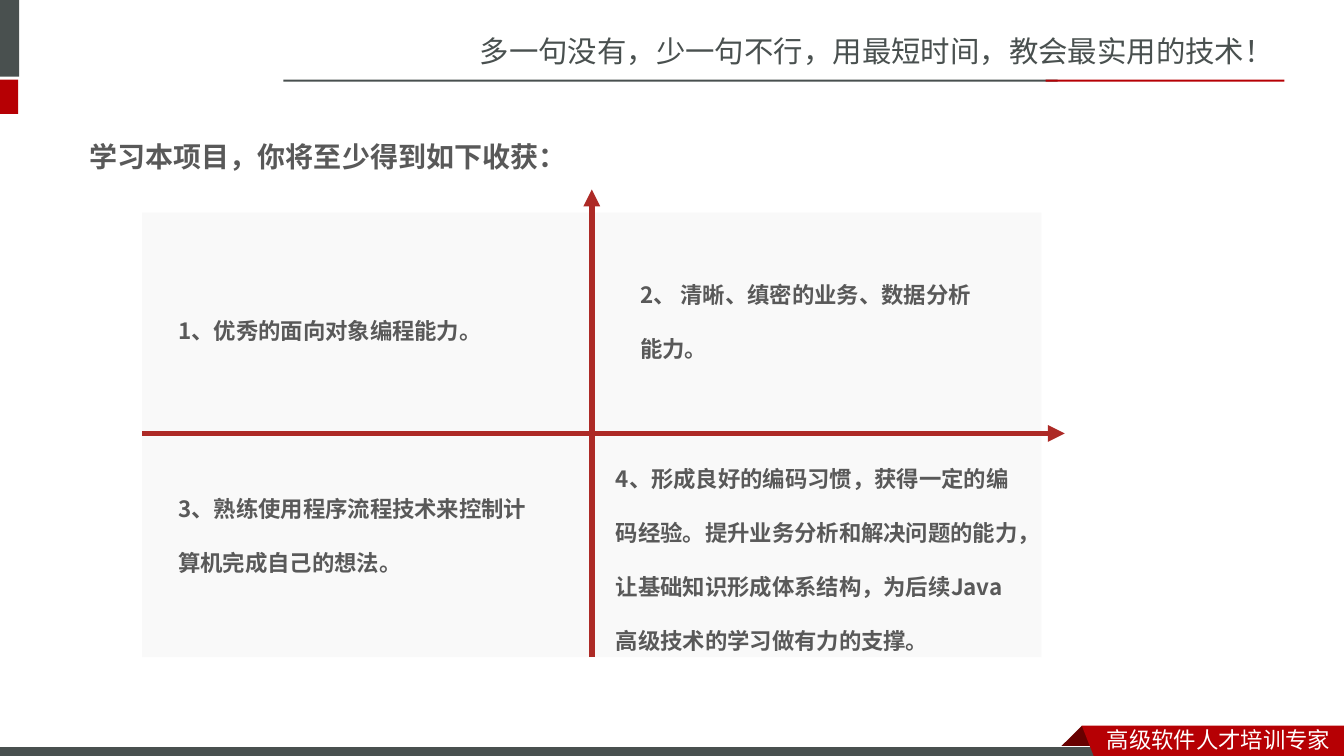
from lxml import etree
from pptx import Presentation
from pptx.dml.color import RGBColor
from pptx.enum import shapes, text
from pptx.oxml import ns
from pptx.util import Inches, Pt

SLATE = RGBColor(0x49, 0x50, 0x4F)
RED = RGBColor(0xB6, 0x00, 0x04)
DARK_RED = RGBColor(0x68, 0x00, 0x00)
AXIS_RED = RGBColor(0xAD, 0x2A, 0x26)
PANEL_GRAY = RGBColor(0xF9, 0xF9, 0xF9)
TEXT_GRAY = RGBColor(0x59, 0x59, 0x59)
WHITE = RGBColor(0xFF, 0xFF, 0xFF)

HEADER_FONT = "Noto Sans CJK SC"
TITLE_FONT = "Lato"
BODY_FONT = "Noto Sans CJK JP"

PANEL_LEFT, PANEL_TOP = 1.41, 2.11
PANEL_WIDTH, PANEL_HEIGHT = 4.46, 2.19
AXIS_X, AXIS_Y = 5.87, 4.3

BENEFITS = [
    (1.67, 2.83, 3.7, 0.57, "1、优秀的面向对象编程能力。"),
    (6.25, 2.47, 3.7, 1.11, "2、 清晰、缜密的业务、数据分析能力。"),
    (1.67, 4.6, 3.7, 1.11, "3、熟练使用程序流程技术来控制计算机完成自己的想法。"),
    (6.01, 4.3, 4.2, 2.18,
     "4、形成良好的编码习惯，获得一定的编码经验。提升业务分析和解决问题的能力，"
     "让基础知识形成体系结构，为后续Java高级技术的学习做有力的支撑。"),
]


def add_text(slide, content, left, top, width, height, *, font, size, color,
             bold=False, anchor=text.MSO_ANCHOR.MIDDLE, line_spacing=None):
    box = slide.shapes.add_textbox(Inches(left), Inches(top), Inches(width), Inches(height))
    frame = box.text_frame
    frame.word_wrap = True
    frame.vertical_anchor = anchor
    paragraph = frame.paragraphs[0]
    paragraph.line_spacing = line_spacing
    run = paragraph.add_run()
    run.text = content
    run.font.name = font
    run.font.size = Pt(size)
    run.font.bold = bold
    run.font.color.rgb = color
    east_asian = etree.SubElement(run.font._element, ns.qn("a:ea"))
    east_asian.set("typeface", HEADER_FONT if font == TITLE_FONT else font)


def paint(shape, fill, outline=None):
    shape.shadow.inherit = False
    shape.fill.solid()
    shape.fill.fore_color.rgb = fill
    if outline is None:
        shape.line.fill.background()
    else:
        shape.line.color.rgb = outline
        shape.line.width = Pt(0.75)


def add_rectangle(slide, left, top, width, height, fill, outline=None):
    shape = slide.shapes.add_shape(shapes.MSO_SHAPE.RECTANGLE, Inches(left), Inches(top),
                                   Inches(width), Inches(height))
    paint(shape, fill, outline)


def add_polygon(slide, points, fill):
    corners = [(Inches(x), Inches(y)) for x, y in points]
    builder = slide.shapes.build_freeform(*corners[0], scale=1.0)
    builder.add_line_segments(corners[1:], close=True)
    paint(builder.convert_to_shape(), fill)


def add_axis(slide, start, end):
    axis = slide.shapes.add_connector(shapes.MSO_CONNECTOR.STRAIGHT,
                                      *(Inches(value) for value in (*start, *end)))
    axis.line.color.rgb = AXIS_RED
    axis.line.width = Pt(4)
    tail = etree.SubElement(axis.line._get_or_add_ln(), ns.qn("a:tailEnd"))
    tail.set("type", "triangle")
    etree.SubElement(axis._element.spPr, ns.qn("a:effectLst"))


def add_header(slide):
    add_text(slide, "多一句没有，少一句不行，用最短时间，教会最实用的技术！",
             4.66, 0.28, 8.67, 0.45, font=HEADER_FONT, size=21, color=SLATE)
    add_rectangle(slide, -0.06, 0, 0.25, 0.76, SLATE)
    add_rectangle(slide, -0.06, 0.79, 0.24, 0.34, RED)
    add_rectangle(slide, 2.81, 0.79, 7.68, 0.02, SLATE)
    add_rectangle(slide, 10.37, 0.79, 2.37, 0.02, RED)


def add_footer(slide):
    add_polygon(slide, [(10.73, 7.2), (10.95, 7.42), (10.94, 7.43),
                        (10.52, 7.43), (10.51, 7.42)], DARK_RED)
    add_rectangle(slide, -0.01, 7.41, 11, 0.12, SLATE, outline=WHITE)
    add_polygon(slide, [(10.73, 7.2), (13.33, 7.2), (13.33, 7.54), (10.86, 7.53)], RED)
    add_text(slide, "高级软件人才培训专家", 10.88, 7.15, 2.45, 0.37,
             font=HEADER_FONT, size=16, color=WHITE)


def add_quadrants(slide):
    for top in (PANEL_TOP, PANEL_TOP + PANEL_HEIGHT + 0.03):
        for left in (PANEL_LEFT, AXIS_X):
            add_rectangle(slide, left, top, PANEL_WIDTH, PANEL_HEIGHT, PANEL_GRAY)
    add_axis(slide, (PANEL_LEFT, AXIS_Y), (10.56, AXIS_Y))
    add_axis(slide, (AXIS_X, 6.52), (AXIS_X, 1.88))
    for left, top, width, height, benefit in BENEFITS:
        add_text(slide, benefit, left, top, width, height, font=BODY_FONT, size=16,
                 color=TEXT_GRAY, bold=True, anchor=text.MSO_ANCHOR.TOP,
                 line_spacing=Pt(38.4))


def main():
    presentation = Presentation()
    presentation.slide_width = Inches(13.33)
    presentation.slide_height = Inches(7.5)
    slide = presentation.slides.add_slide(presentation.slide_layouts[6])
    add_header(slide)
    add_footer(slide)
    add_text(slide, "学习本项目，你将至少得到如下收获：", 0.79, 1.27, 11.76, 0.57,
             font=TITLE_FONT, size=20, color=TEXT_GRAY, bold=True)
    add_quadrants(slide)
    presentation.save("out.pptx")


if __name__ == "__main__":
    main()
